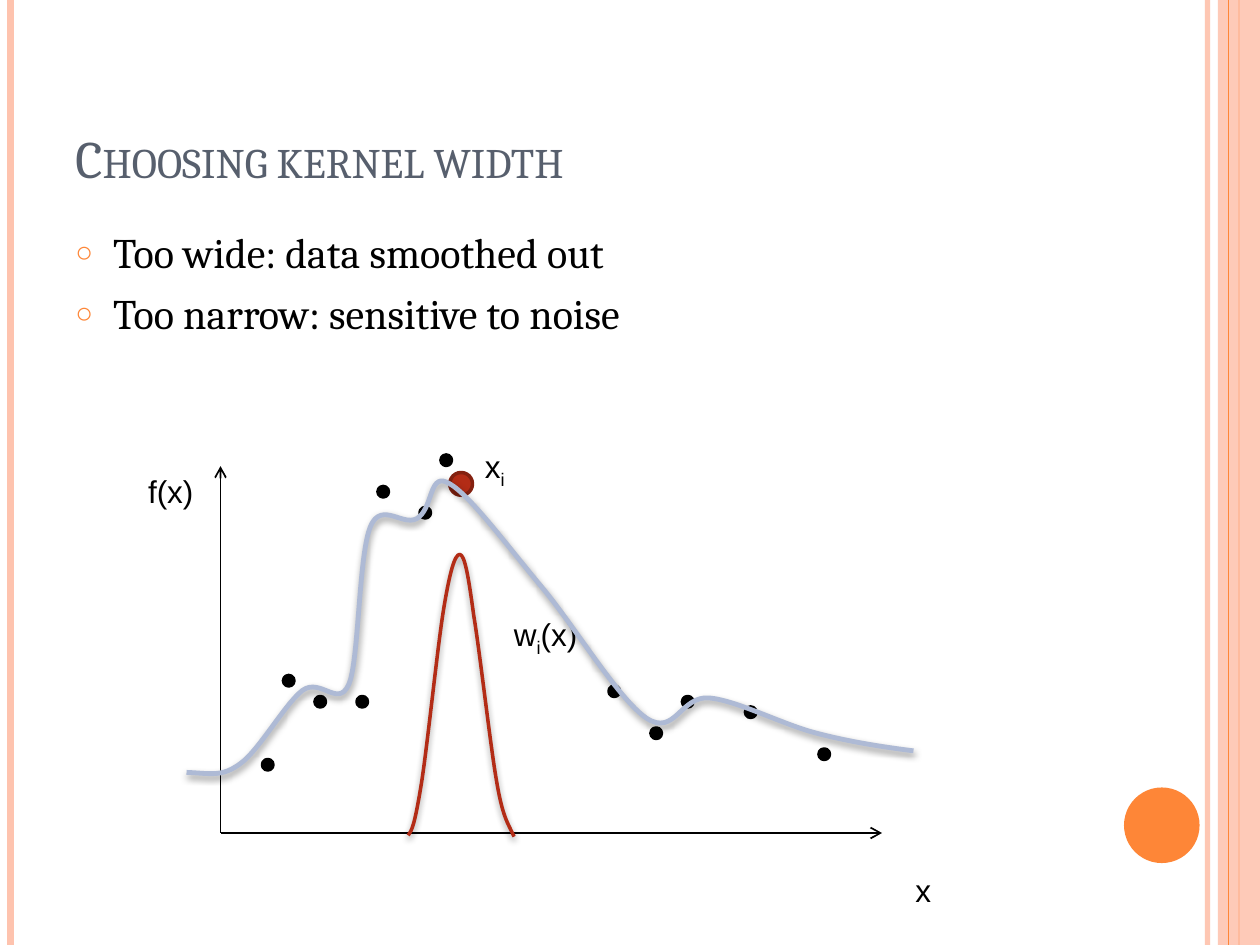
from lxml.etree import SubElement
from pptx import Presentation
from pptx.dml.color import RGBColor
from pptx.enum.shapes import MSO_CONNECTOR, MSO_SHAPE
from pptx.enum.text import MSO_ANCHOR, MSO_AUTO_SIZE
from pptx.oxml.ns import qn
from pptx.util import Pt

COLORS = {
    "peach": "FEC3AE", "orange": "FE8637", "slate": "575F6D", "black": "000000",
    "red": "B32C16", "dark_red": "842110", "blue": "AEBAD5",
}
WIDTH, HEIGHT = 720, 540
ORIGIN = (126, 476)
DOT = 6

# Top left corners of the data points
SAMPLES = [
    (150, 434), (162, 386), (204, 398), (216, 278), (240, 290), (252, 260),
    (348, 392), (372, 416), (426, 404), (468, 428), (180, 398), (390, 398),
]

# Start point, then two control points and an end point for each Bezier piece
KERNEL = [
    (233.3, 477.4),
    (235.4, 474.5), (236.9, 471.6), (240.5, 450),
    (244, 429.1), (249.8, 371.5), (253.4, 349.2),
    (257, 326.9), (259.9, 316.8), (262.8, 316.8),
    (265.7, 317.2), (267.8, 329.8), (270.7, 351.4),
    (274.3, 373), (280.1, 424.8), (283.7, 445.7),
    (287.3, 467.3), (290.2, 470.2), (293.8, 478.1),
]
SMOOTHED = [
    (106.6, 441.4),
    (121, 442), (126.7, 444.2), (137.5, 436.3),
    (148.3, 428.4), (162.7, 402.5), (172.8, 394.6),
    (183.6, 386.6), (194.4, 406.8), (200.2, 388.8),
    (205.2, 371.5), (205.2, 316.8), (211.7, 301),
    (218.2, 285.1), (231.8, 303.1), (239.8, 295.2),
    (247.7, 288), (245.5, 269.3), (257, 276.5),
    (268.6, 283), (290.9, 313.2), (309.6, 335.5),
    (328.3, 357.8), (353.5, 399.6), (369.4, 410.4),
    (385.9, 421.2), (388.8, 397.4), (405.4, 398.9),
    (421.2, 400.3), (447.1, 414), (466.6, 419),
    (486, 424.1), (505.4, 427), (522, 429.1),
]


def rgb(name):
    return RGBColor.from_string(COLORS[name])


def apply(target, values):
    for name, value in values.items():
        setattr(target, name, value)


def set_alpha(properties, percent):
    color = next(properties.iter(qn("a:srgbClr")))
    SubElement(color, qn("a:alpha"), val=str(percent * 1000))


def add_line(slide, start, end, color, width, alpha=None, arrow=False):
    line = slide.shapes.add_connector(
        MSO_CONNECTOR.STRAIGHT, *(Pt(v) for v in (*start, *end)))
    line.line.color.rgb = rgb(color)
    line.line.width = Pt(width)
    properties = line._element.spPr
    if alpha:
        set_alpha(properties, alpha)
    if arrow:
        SubElement(properties.find(qn("a:ln")), qn("a:tailEnd"), type="arrow")
    SubElement(properties, qn("a:effectLst"))


def add_solid(slide, kind, box, fill, outline=None, alpha=None):
    solid = slide.shapes.add_shape(kind, *(Pt(v) for v in box))
    solid.shadow.inherit = False
    solid.fill.solid()
    solid.fill.fore_color.rgb = rgb(fill)
    if alpha:
        set_alpha(solid._element.spPr, alpha)
    if outline:
        solid.line.color.rgb = rgb(outline)
        solid.line.width = Pt(2)
    else:
        solid.line.fill.background()


def bend_segments(curve):
    """Turn each run of three line segments into one cubic Bezier piece."""
    outline = next(curve._element.iter(qn("a:path")))
    segments = outline.findall(qn("a:lnTo"))
    for i in range(0, len(segments), 3):
        piece = SubElement(outline, qn("a:cubicBezTo"))
        for segment in segments[i:i + 3]:
            piece.append(segment[0])
            outline.remove(segment)


def add_curve(slide, nodes, color, width, shadow_alpha, distance):
    points = [(Pt(x), Pt(y)) for x, y in nodes]
    builder = slide.shapes.build_freeform(*points[0])
    builder.add_line_segments(points[1:], close=False)
    curve = builder.convert_to_shape()
    bend_segments(curve)
    curve.fill.background()
    curve.line.color.rgb = rgb(color)
    curve.line.width = Pt(width)
    effects = SubElement(curve._element.spPr, qn("a:effectLst"))
    shadow = SubElement(effects, qn("a:outerShdw"), blurRad=str(Pt(4)),
                        dist=str(Pt(distance)), dir="5400000", rotWithShape="0")
    SubElement(shadow, qn("a:srgbClr"), val=COLORS["black"])
    set_alpha(shadow, shadow_alpha)


def add_frame(slide, box, **values):
    frame = slide.shapes.add_textbox(*(Pt(v) for v in box)).text_frame
    apply(frame, {"word_wrap": True, **values})
    return frame


def add_run(paragraph, text, font, size, color):
    run = paragraph.add_run()
    run.text = text
    apply(run.font, {"name": font, "size": Pt(size)})
    run.font.color.rgb = rgb(color)
    return run._r.get_or_add_rPr()


def add_title(slide, text):
    frame = add_frame(slide, (36, 21.6, 588, 90), vertical_anchor=MSO_ANCHOR.BOTTOM)
    add_run(frame.paragraphs[0], text, "Cambria", 30, "slate").set("cap", "small")


def add_bullets(slide, items):
    frame = add_frame(slide, (36, 126, 588, 384))
    for i, item in enumerate(items):
        paragraph = frame.add_paragraph() if i else frame.paragraphs[0]
        paragraph.space_before = Pt(6)
        properties = paragraph._p.get_or_add_pPr()
        properties.set("marL", str(Pt(21.6)))
        properties.set("indent", str(Pt(-21.6)))
        bullet_color = SubElement(properties, qn("a:buClr"))
        SubElement(bullet_color, qn("a:srgbClr"), val=COLORS["orange"])
        SubElement(properties, qn("a:buSzPct"), val="70000")
        SubElement(properties, qn("a:buFont"), typeface="Arial")
        SubElement(properties, qn("a:buChar"), char="○")
        add_run(paragraph, item, "Cambria", 24, "black")


def add_label(slide, left, top, width, base, subscript="", rest=""):
    frame = add_frame(slide, (left, top, width, 29),
                      auto_size=MSO_AUTO_SIZE.SHAPE_TO_FIT_TEXT)
    for text, baseline in ((base, 0), (subscript, -25000), (rest, 0)):
        if text:
            properties = add_run(frame.paragraphs[0], text, "Arial", 18, "black")
            properties.set("baseline", str(baseline))


def main():
    deck = Presentation()
    apply(deck, {"slide_width": Pt(WIDTH), "slide_height": Pt(HEIGHT)})
    slide = deck.slides.add_slide(deck.slide_layouts[6])

    # Side stripes and disc
    for x, color, width, alpha in ((690, "peach", 3, 93), (6, "peach", 4.5, None),
                                   (708, "orange", 1.5, None)):
        add_line(slide, (x, 0), (x, HEIGHT), color, width, alpha)
    add_solid(slide, MSO_SHAPE.RECTANGLE, (696, 0, 24, HEIGHT), "peach", alpha=87)
    add_line(slide, (702, 0), (702, HEIGHT), "orange", 0.75)
    add_solid(slide, MSO_SHAPE.OVAL, (642.3, 450, 43.2, 43.2), "orange")

    # Title and bullets
    add_title(slide, "Choosing kernel width")
    add_bullets(slide, ["Too wide: data smoothed out", "Too narrow: sensitive to noise"])

    # Axes
    for tip in ((504, ORIGIN[1]), (ORIGIN[0], 266.4)):
        add_line(slide, ORIGIN, tip, "black", 1, arrow=True)
    add_label(slide, 516, 494, 24, "x")
    add_label(slide, 77.5, 266.4, 54, "f(x)")

    # Data points, with the chosen one in red
    for left, top in SAMPLES:
        add_solid(slide, MSO_SHAPE.OVAL, (left, top, DOT, DOT), "black", "black")
    add_solid(slide, MSO_SHAPE.OVAL, (257, 270, 13, 13), "red", "dark_red")

    # Kernel and smoothed curve
    add_curve(slide, KERNEL, "red", 2, 40, 2)
    add_label(slide, 270, 252, 45, "x", "i")
    add_label(slide, 286.5, 348, 63, "w", "i", "(x)")
    add_curve(slide, SMOOTHED, "blue", 2.75, 42, 1.6)

    deck.save("out.pptx")


if __name__ == "__main__":
    main()
